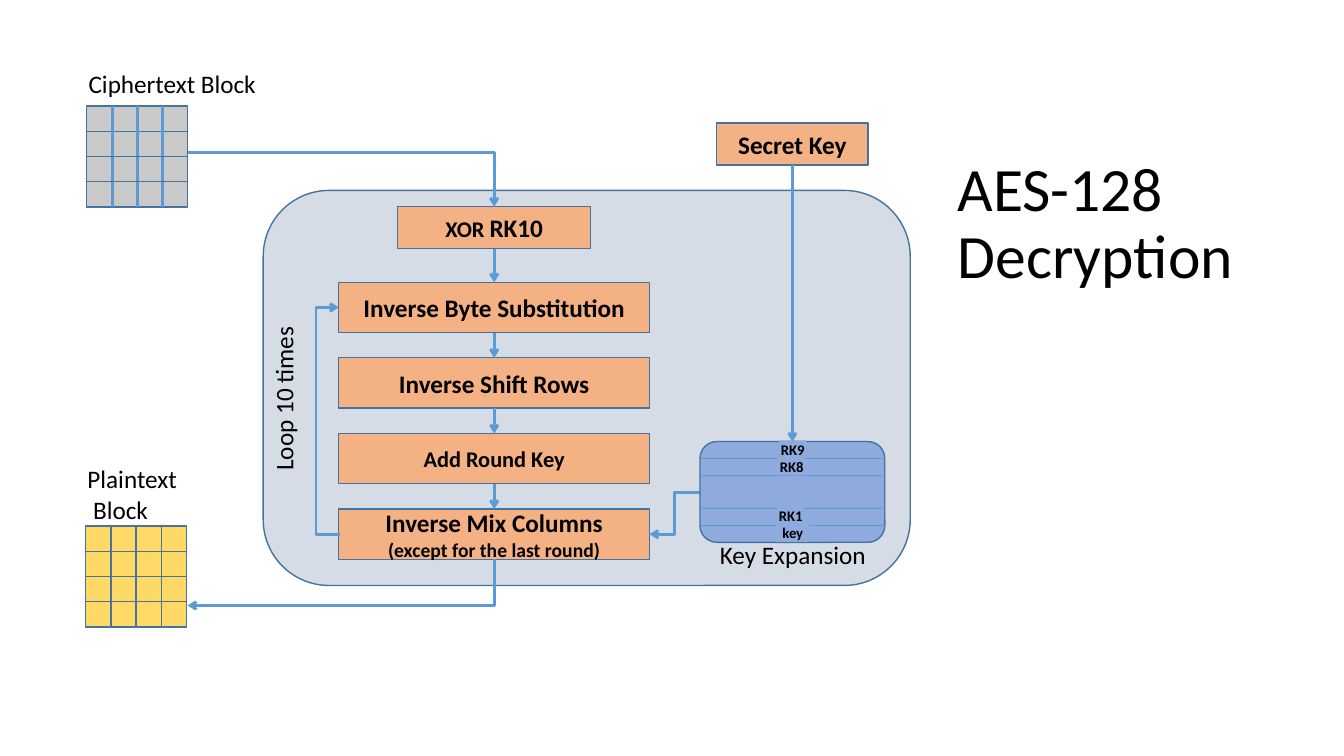
from lxml import etree
from pptx import Presentation
from pptx.dml.color import RGBColor
from pptx.enum.shapes import MSO_CONNECTOR, MSO_SHAPE
from pptx.enum.text import MSO_ANCHOR, MSO_AUTO_SIZE, PP_ALIGN
from pptx.oxml.ns import qn
from pptx.util import Pt

RECTANGLE = MSO_SHAPE.RECTANGLE
ROUNDED = MSO_SHAPE.ROUNDED_RECTANGLE
STRAIGHT, ELBOW = MSO_CONNECTOR.STRAIGHT, MSO_CONNECTOR.ELBOW
TOP, MIDDLE = MSO_ANCHOR.TOP, MSO_ANCHOR.MIDDLE
LEFT, CENTER = PP_ALIGN.LEFT, PP_ALIGN.CENTER
FIXED, GROW = MSO_AUTO_SIZE.NONE, MSO_AUTO_SIZE.SHAPE_TO_FIT_TEXT

FONT = "Calibri"
BLACK, OUTLINE, FLOW = "000000", "43739E", "5B9BD5"
PANEL, STEP, KEYS = "D6DCE5", "F4B183", "8FAADC"
GREY, YELLOW = "C9C9C9", "FFD966"
CELL = 18


def color(value):
    """Turn a hex string into a colour."""
    return RGBColor.from_string(value)


class Diagram:
    """Holds the page, its current group and the shared style."""

    def __init__(self, page):
        """Start drawing on a page."""
        self.page = page
        self.canvas = page.shapes

    def begin_group(self):
        """Send the next elements into a new group."""
        self.canvas = self.page.shapes.add_group_shape().shapes

    def end_group(self):
        """Return to drawing straight on the page."""
        self.canvas = self.page.shapes

    def add_lines(self, frame, lines, align=LEFT, bold=False):
        """Fill a frame with lines, each a list of (text, size) runs."""
        for index, runs in enumerate(lines):
            para = frame.paragraphs[0] if index == 0 else frame.add_paragraph()
            para.alignment = align
            for text, size in runs:
                span = para.add_run()
                span.text = text
                span.font.name = FONT
                span.font.size = Pt(size)
                span.font.bold = bold
                span.font.color.rgb = color(BLACK)

    def title(self, lines, left, top, width, height):
        """Place the title placeholder with broken lines."""
        box = self.page.shapes.title
        box.left, box.top, box.width, box.height = Pt(left), Pt(top), Pt(width), Pt(height)
        frame = box.text_frame
        frame.auto_size = FIXED
        frame.vertical_anchor = MIDDLE
        para = frame.paragraphs[0]
        para.line_spacing = 0.9
        for index, text in enumerate(lines):
            if index:
                para.add_line_break()
            self.add_lines(frame, [[(text, 44)]])

    def shape(self, left, top, width, height, fill, lines=(), kind=RECTANGLE):
        """Draw an outlined shape with centred bold text."""
        box = self.canvas.add_shape(kind, Pt(left), Pt(top), Pt(width), Pt(height))
        box.shadow.inherit = False
        box.fill.solid()
        box.fill.fore_color.rgb = color(fill)
        box.line.color.rgb = color(OUTLINE)
        box.line.width = Pt(1)
        box.text_frame.vertical_anchor = MIDDLE
        self.add_lines(box.text_frame, lines, CENTER, True)
        return box

    def key_label(self, left, top, width, text):
        """Draw a tight filled label without an outline."""
        box = self.shape(left, top, width, 12.7, KEYS, [[(text, 10.5)]])
        box.line.fill.background()
        frame = box.text_frame
        frame.margin_left = frame.margin_right = frame.margin_top = frame.margin_bottom = 0
        frame.vertical_anchor = TOP
        frame.word_wrap = False
        frame.auto_size = GROW

    def text(self, left, top, width, height, lines, align=LEFT, wrap=False, turned=False):
        """Draw a plain caption, optionally reading upwards."""
        box = self.canvas.add_textbox(Pt(left), Pt(top), Pt(width), Pt(height))
        frame = box.text_frame
        frame.word_wrap = wrap
        frame.auto_size = GROW
        if turned:
            frame._txBody.bodyPr.set("vert", "vert270")
        self.add_lines(frame, [[(line, 18)] for line in lines], align)

    def line(self, start, end, width=2, arrow=False, kind=STRAIGHT):
        """Draw a connector, with an arrowhead at its end if wanted."""
        link = self.canvas.add_connector(kind, *(Pt(value) for value in (*start, *end)))
        link.line.color.rgb = color(FLOW)
        link.line.width = Pt(width)
        if arrow:
            etree.SubElement(link.line._get_or_add_ln(), qn("a:tailEnd"), type="arrow")
        etree.SubElement(link._element.spPr, qn("a:effectLst"))
        return link

    def join(self, upper, lower):
        """Join the bottom of one box to the top of another."""
        link = self.line((0, 0), (0, 0), arrow=True)
        link.begin_connect(upper, 2)
        link.end_connect(lower, 0)

    def corner(self, start, end, down_first=False):
        """Draw an arrow with one right-angled bend."""
        if down_first:
            middle_x, middle_y = (start[0] + end[0]) / 2, (start[1] + end[1]) / 2
            half_run, half_drop = (start[0] - end[0]) / 2, (end[1] - start[1]) / 2
            start = (middle_x - half_drop, middle_y - half_run)
            end = (middle_x + half_drop, middle_y + half_run)
        link = self.line(start, end, arrow=True, kind=ELBOW)
        properties = link._element.spPr
        properties.find(qn("a:prstGeom")).set("prst", "bentConnector2")
        if down_first:
            properties.find(qn("a:xfrm")).set("rot", "5400000")

    def detour(self, start, end, bend_x):
        """Draw an arrow with two bends on a given vertical."""
        link = self.line(start, end, arrow=True, kind=ELBOW)
        share = round((bend_x - start[0]) / (end[0] - start[0]) * 100000)
        guides = link._element.spPr.find(qn("a:prstGeom")).get_or_add_avLst()
        etree.SubElement(guides, qn("a:gd"), name="adj1", fmla=f"val {share}")


def main():
    """Build the AES-128 decryption slide."""
    deck = Presentation()
    deck.slide_width, deck.slide_height = Pt(960), Pt(540)
    page = deck.slides.add_slide(deck.slide_layouts[5])
    diagram = Diagram(page)
    diagram.title(["AES-128 ", "Decryption"], 676.8, 108.7, 602, 104.4)
    diagram.shape(188, 136, 462.2, 282.2, PANEL, kind=ROUNDED)

    secret_key = diagram.shape(512, 88, 108, 30, STEP, [[("Secret Key", 18)]])
    steps = [diagram.shape(284, 147.6, 138, 30, STEP, [[("XOR ", 16), ("RK10", 18)]])]
    rounds = [
        [[("Inverse Byte Substitution", 18)]],
        [[("Inverse Shift Rows", 18)]],
        [[("Add Round Key", 16)]],
        [[("Inverse Mix Columns", 18)], [("(except for the last round)", 14)]],
    ]
    for index, lines in enumerate(rounds):
        steps.append(diagram.shape(242, 201.6 + 54 * index, 222, 36, STEP, lines))
    for upper, lower in zip(steps, steps[1:]):
        diagram.join(upper, lower)
    diagram.corner((134, 108.7), (353, 147.6))
    diagram.corner((353, 399.6), (134, 432.5), down_first=True)
    diagram.detour((500, 352), (464, 381.6), 482)
    diagram.detour((243, 381.6), (242, 219.6), 225.6)
    diagram.text(188, 231.8, 36, 111.6, ["Loop 10 times"], turned=True)

    diagram.begin_group()
    diagram.text(55.4, 327.6, 79.2, 51, ["Plaintext", " Block"])
    for row in range(4):
        for column in range(4):
            diagram.shape(61.2 + CELL * column, 375.8 + CELL * row, CELL, CELL, YELLOW)
    diagram.end_group()

    for row in range(4):
        top = 75.8 + CELL * row
        diagram.shape(62, top, 4 * CELL, CELL, GREY)
        for column in range(1, 4):
            x = 62.3 + CELL * column
            diagram.line((x, top + CELL), (x, top))
    diagram.text(56.2, 45.4, 167.8, 29, ["Ciphertext Block"], wrap=True)
    diagram.text(506.2, 381.6, 120.2, 29, ["Key Expansion"], CENTER)

    diagram.begin_group()
    key_store = diagram.shape(500, 315.4, 132, 72, KEYS, kind=ROUNDED)
    for y in (327.6, 339.2, 362.9, 375.4):
        diagram.line((500, y), (632, y), 0.5)
    diagram.key_label(556.6, 314.6, 19.4, "RK9")
    diagram.key_label(555.8, 326.9, 19.4, "RK8")
    diagram.key_label(555.1, 362.2, 19.4, "RK1")
    diagram.key_label(554.4, 374.4, 23.8, "key")
    diagram.end_group()
    diagram.join(secret_key, key_store)
    deck.save("out.pptx")


if __name__ == "__main__":
    main()
